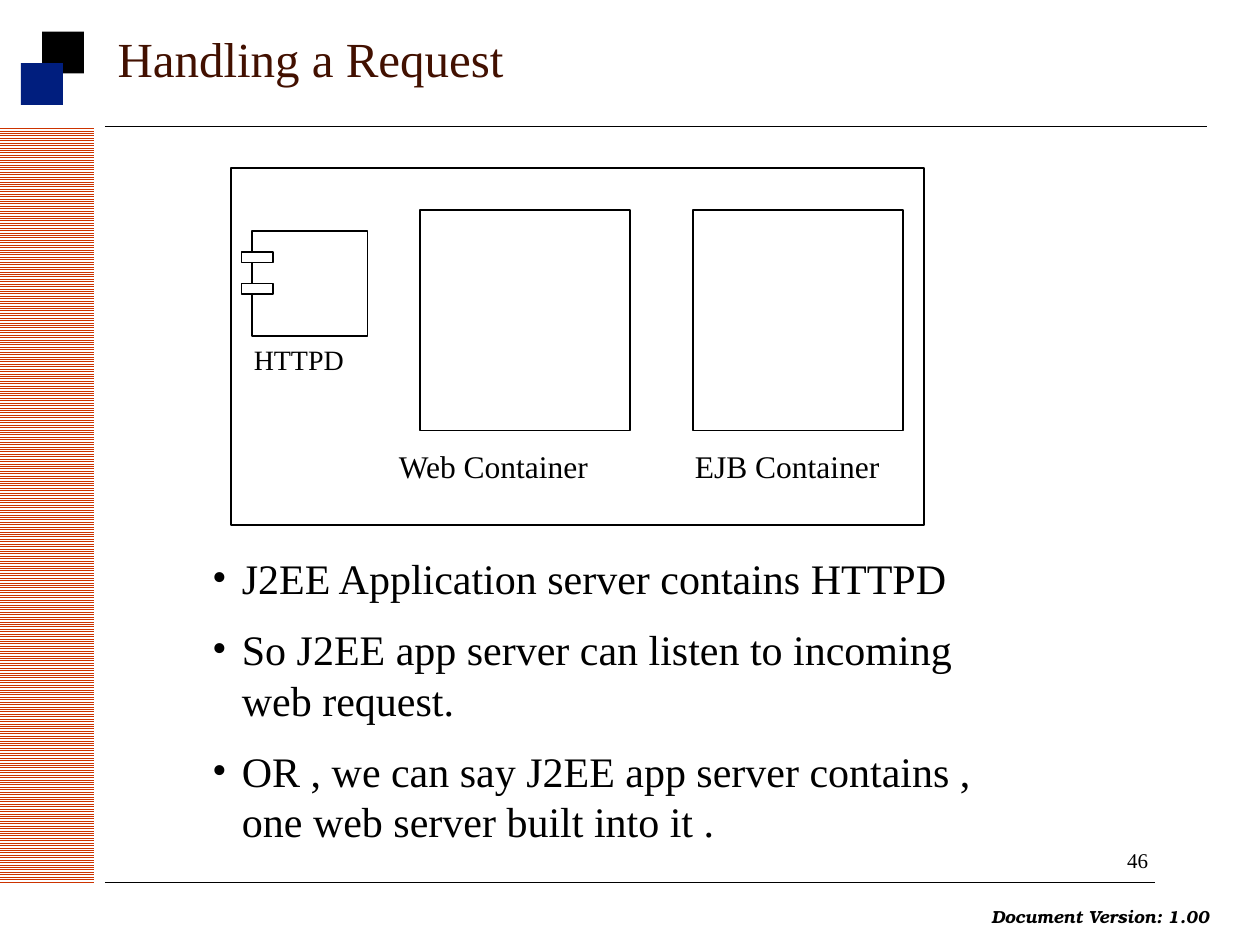
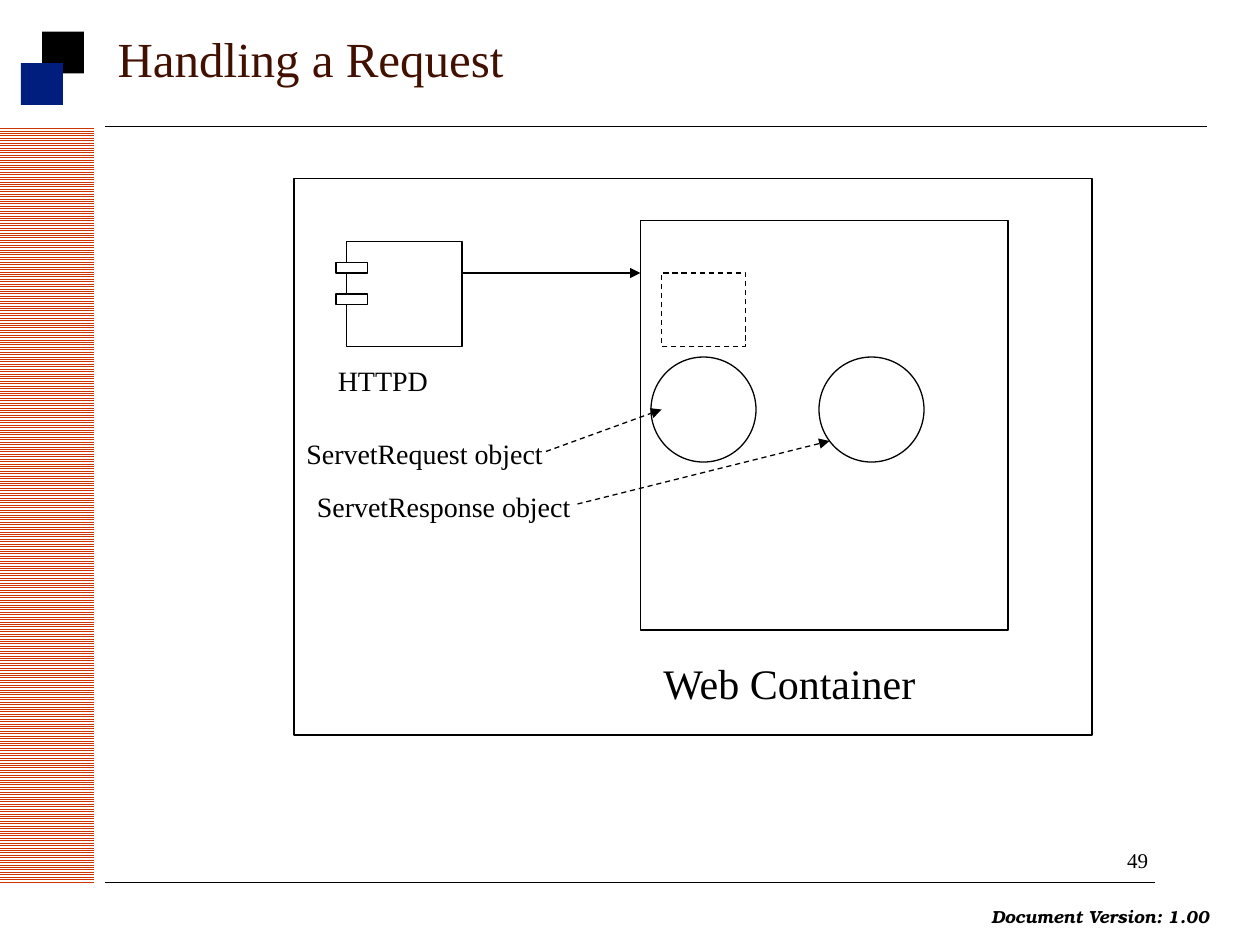
from lxml.etree import SubElement as Sub
from pptx import Presentation
from pptx.dml.color import RGBColor as Rgb
from pptx.enum.dml import MSO_LINE as Dash, MSO_PATTERN as Pattern
from pptx.enum.shapes import MSO_CONNECTOR as Link, MSO_SHAPE as Kind
from pptx.enum.text import MSO_ANCHOR as Anchor, MSO_AUTO_SIZE as Fit, PP_ALIGN as Align
from pptx.oxml.ns import qn
from pptx.util import Pt

COLORS = {
    "ink": "000000",
    "paper": "FFFFFF",
    "title": "421000",
    "band": "CC3300",
    "navy": "001E7E",
}
SERIF = "Times New Roman"
FOOT = "TeX Gyre Bonum"


def color(name):
    """Return the named colour."""
    return Rgb.from_string(COLORS[name])


def write(frame, text, size=16, font=SERIF, tint="ink", bold=False, italic=False,
          align=Align.LEFT, bullet=None, gap=0):
    """Fill a text frame, one paragraph for each line of text."""
    for i, line in enumerate(text.split("\n")):
        para = frame.paragraphs[0] if i == 0 else frame.add_paragraph()
        para.text = line
        if bullet:
            props = para._p.get_or_add_pPr()
            props.set("marL", str(Pt(17)))
            props.set("indent", str(-Pt(17)))
            Sub(props, qn("a:buFont"), typeface=SERIF)
            Sub(props, qn("a:buChar"), char=bullet)
        para.alignment = align
        para.space_before = Pt(gap if i else 0)
        face = para.font
        face.size, face.name = Pt(size), font
        face.bold, face.italic = bold, italic
        face.color.rgb = color(tint)


class Deck:
    """Hold the shared style and the current slide."""

    def __init__(self):
        """Start an empty deck."""
        self.show = Presentation()
        self.show.slide_width, self.show.slide_height = Pt(720), Pt(540)

    def page(self, title, number, layout):
        """Add a slide with its title, band, rules and footer."""
        self.slide = self.show.slides.add_slide(self.show.slide_layouts[layout])
        band = self.shape(0, 72, 54, 432, line=None)
        band.fill.patterned()
        band.fill.pattern = Pattern.LIGHT_HORIZONTAL
        band.fill.fore_color.rgb = color("band")
        band.fill.back_color.rgb = color("paper")
        self.line(60, 72, 690, 72, width=0.25)
        self.shape(24, 18, 24, 24, fill="ink", line=None)
        self.shape(12, 36, 24, 24, fill="navy", line=None)
        self.text("Document Version: 1.00", 559.4, 514, 140, 19.5, wrap=False,
                  size=10, font=FOOT, bold=True, italic=True)
        self.line(60, 504, 660, 504, width=0.25)
        self.text(str(number), 637, 481, 29, 21.6, wrap=False, size=12)
        self.holder(self.slide.shapes.title, title, 60, 0, 648, 66, Anchor.MIDDLE,
                    size=28, tint="title")

    def holder(self, item, text, x, y, w, h, anchor, **style):
        """Move and fill a placeholder."""
        item.left, item.top, item.width, item.height = map(Pt, (x, y, w, h))
        frame = item.text_frame
        frame.auto_size, frame.vertical_anchor = Fit.NONE, anchor
        write(frame, text, **style)

    def list(self, text, x, y, w, h):
        """Put a bullet list in the body placeholder."""
        self.holder(self.slide.placeholders[1], text, x, y, w, h, Anchor.TOP,
                    size=24, bullet="•", gap=12)

    def text(self, text, x, y, w, h, wrap=True, **style):
        """Add a text box."""
        frame = self.slide.shapes.add_textbox(*map(Pt, (x, y, w, h))).text_frame
        frame.word_wrap, frame.auto_size = wrap, Fit.SHAPE_TO_FIT_TEXT
        write(frame, text, **style)

    def shape(self, x, y, w, h, kind=Kind.RECTANGLE, fill=None, line="ink", dash=False):
        """Add a preset shape."""
        item = self.slide.shapes.add_shape(kind, *map(Pt, (x, y, w, h)))
        item.shadow.inherit = False
        if fill:
            item.fill.solid()
            item.fill.fore_color.rgb = color(fill)
        else:
            item.fill.background()
        if line:
            self.stroke(item.line, line, 0.75, dash)
        else:
            item.line.fill.background()
        return item

    def stroke(self, line, tint, width, dash):
        """Format a line."""
        line.color.rgb = color(tint)
        line.width = Pt(width)
        if dash:
            line.dash_style = Dash.DASH

    def line(self, x1, y1, x2, y2, width=0.75, dash=False, arrow=False):
        """Add a straight line or arrow."""
        item = self.slide.shapes.add_connector(Link.STRAIGHT, *map(Pt, (x1, y1, x2, y2)))
        self.stroke(item.line, "ink", width, dash)
        if arrow:
            Sub(item.line._get_or_add_ln(), qn("a:tailEnd"), type="triangle")
        Sub(item._element.spPr, qn("a:effectLst"))

    def module(self, x, y):
        """Add a component box with two tabs."""
        self.shape(x, y, 66, 60)
        for drop in (12, 30):
            self.shape(x - 6, y + drop, 18, 6, fill="paper")


def server(deck):
    """Draw the server with its containers."""
    deck.page("Handling a Request", 46, layout=1)
    deck.shape(132, 96, 396, 204)
    deck.module(144, 132)
    deck.text("HTTPD", 138, 192, 102, 26.6)
    for x in (240, 396):
        deck.shape(x, 120, 120, 126)
    deck.text("Web Container", 186, 252, 192, 28.8, size=18, align=Align.CENTER)
    deck.text("EJB Container", 390, 252, 132, 28.8, size=18)
    deck.list("J2EE Application server contains HTTPD\n"
              "So J2EE app server can listen to incoming web request.\n"
              "OR , we can say J2EE app server contains , one web server built into it .",
              114, 312, 462, 180)


def request(deck):
    """Draw the request and response objects."""
    deck.page("Handling a Request", 49, layout=5)
    deck.shape(168, 102, 456, 318)
    deck.module(198, 138)
    deck.text("HTTPD", 186, 204, 102, 26.6)
    deck.shape(366, 126, 210, 234)
    deck.text("Web Container", 372, 372, 192, 36, size=24)
    deck.line(264, 156, 366, 156, arrow=True)
    deck.shape(378, 156, 48, 42, dash=True)
    for x in (372, 468):
        deck.shape(x, 204, 60, 60, kind=Kind.OVAL)
    deck.text("ServetRequest object", 168, 246, 174, 26.6)
    deck.line(312, 258, 378, 234, dash=True, arrow=True)
    deck.text("ServetResponse object", 174, 276, 174, 26.6)
    deck.line(330, 288, 474, 252, dash=True, arrow=True)


def main():
    """Build and save the deck."""
    deck = Deck()
    server(deck)
    request(deck)
    deck.show.save("out.pptx")


if __name__ == "__main__":
    main()
